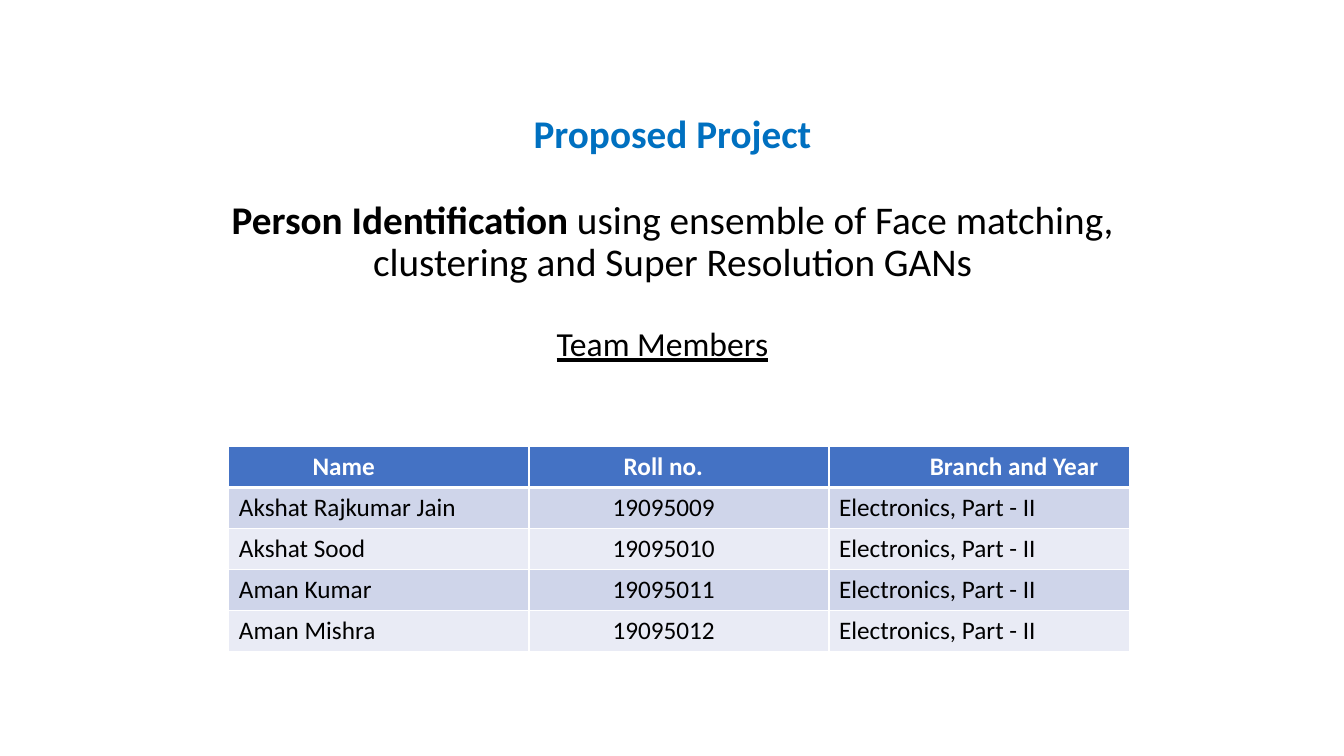
from dataclasses import dataclass

from lxml import etree
from pptx import Presentation
from pptx.dml.color import RGBColor
from pptx.enum.text import MSO_ANCHOR, MSO_AUTO_SIZE, PP_ALIGN
from pptx.oxml.ns import qn
from pptx.util import Inches, Pt

CENTER = PP_ALIGN.CENTER
BOTTOM = MSO_ANCHOR.BOTTOM
NO_AUTOFIT = MSO_AUTO_SIZE.NONE
TITLE_ONLY = 5


@dataclass(frozen=True)
class Theme:
    font: str = "Calibri"
    accent: str = "0070C0"
    text: str = "000000"
    white: str = "FFFFFF"
    header: str = "4472C4"
    bands: tuple = ("CFD5EA", "E9EBF5")
    title_size: int = 28
    subtitle_size: int = 24
    table_size: int = 18
    line_spacing: float = 0.9
    rule: int = 1
    header_rule: int = 3


THEME = Theme()

HEADERS = ["Name", "Roll no.", "Branch and Year"]
MEMBERS = [
    ("Akshat Rajkumar Jain", "19095009"),
    ("Akshat Sood", "19095010"),
    ("Aman Kumar", "19095011"),
    ("Aman Mishra", "19095012"),
]
BRANCH = "Electronics, Part - II"
HEADER_MARGINS = (0.83, 0.94, 1.0)
BODY_MARGINS = (0.1, 0.83, 0.1)


def add_run(p, text, size, color, bold=False, underline=False):
    r = p.add_run()
    r.text = text
    font = r.font
    font.name = THEME.font
    font.size = Pt(size)
    font.bold = bold
    font.underline = underline
    font.color.rgb = RGBColor.from_string(color)


def center(p):
    p.alignment = CENTER
    p.line_spacing = THEME.line_spacing


def place(sp, left, top, width, height):
    sp.left, sp.top = Inches(left), Inches(top)
    sp.width, sp.height = Inches(width), Inches(height)


def add_title(slide, *box):
    sp = slide.shapes.title
    place(sp, *box)
    tf = sp.text_frame
    tf.word_wrap = True
    tf.auto_size = NO_AUTOFIT
    tf.vertical_anchor = BOTTOM
    size = THEME.title_size

    p = tf.paragraphs[0]
    center(p)
    add_run(p, "Proposed Project", size, THEME.accent, bold=True)

    p = tf.add_paragraph()
    center(p)
    p.space_before = Pt(31)
    add_run(p, "Person Identification ", size, THEME.text, bold=True)
    add_run(p, "using ensemble of Face matching, clustering and "
               "Super Resolution GANs", size, THEME.text)


def add_subtitle(slide, left, top, width, height):
    sp = slide.shapes.add_textbox(Inches(left), Inches(top),
                                  Inches(width), Inches(height))
    tf = sp.text_frame
    tf.word_wrap = True
    p = tf.paragraphs[0]
    center(p)
    add_run(p, "Team Members", THEME.subtitle_size, THEME.text, underline=True)


def set_borders(cell, top, bottom):
    """Draw white cell borders; top and bottom are widths in points."""
    tc_pr = cell._tc.get_or_add_tcPr()
    widths = {"lnL": THEME.rule, "lnR": THEME.rule, "lnT": top, "lnB": bottom}
    for i, (side, width) in enumerate(widths.items()):
        ln = etree.Element(qn("a:" + side), w=str(Pt(width)))
        fill = etree.SubElement(ln, qn("a:solidFill"))
        etree.SubElement(fill, qn("a:srgbClr"), val=THEME.white)
        tc_pr.insert(i, ln)


def add_members_table(slide, left, top, width, height):
    rows = [HEADERS] + [(name, roll, BRANCH) for name, roll in MEMBERS]
    frame = slide.shapes.add_table(len(rows), len(HEADERS), Inches(left),
                                   Inches(top), Inches(width), Inches(height))
    table = frame.table
    for i, row in enumerate(rows):
        header = i == 0
        fill = THEME.header if header else THEME.bands[(i - 1) % 2]
        color = THEME.white if header else THEME.text
        margins = HEADER_MARGINS if header else BODY_MARGINS
        top_rule = THEME.header_rule if i == 1 else THEME.rule
        bottom_rule = THEME.header_rule if header else THEME.rule
        for j, text in enumerate(row):
            cell = table.cell(i, j)
            cell.margin_left = Inches(margins[j])
            cell.fill.solid()
            cell.fill.fore_color.rgb = RGBColor.from_string(fill)
            set_borders(cell, top_rule, bottom_rule)
            add_run(cell.text_frame.paragraphs[0], text, THEME.table_size,
                    color, bold=header)


def main():
    prs = Presentation()
    prs.slide_width, prs.slide_height = Inches(13.33), Inches(7.5)
    slide = prs.slides.add_slide(prs.slide_layouts[TITLE_ONLY])
    add_title(slide, 1.67, 0.86, 10, 2.02)
    add_subtitle(slide, 1.57, 3.2, 10, 3.7)
    add_members_table(slide, 2.27, 4.43, 8.93, 2.03)
    prs.save("out.pptx")


if __name__ == "__main__":
    main()
